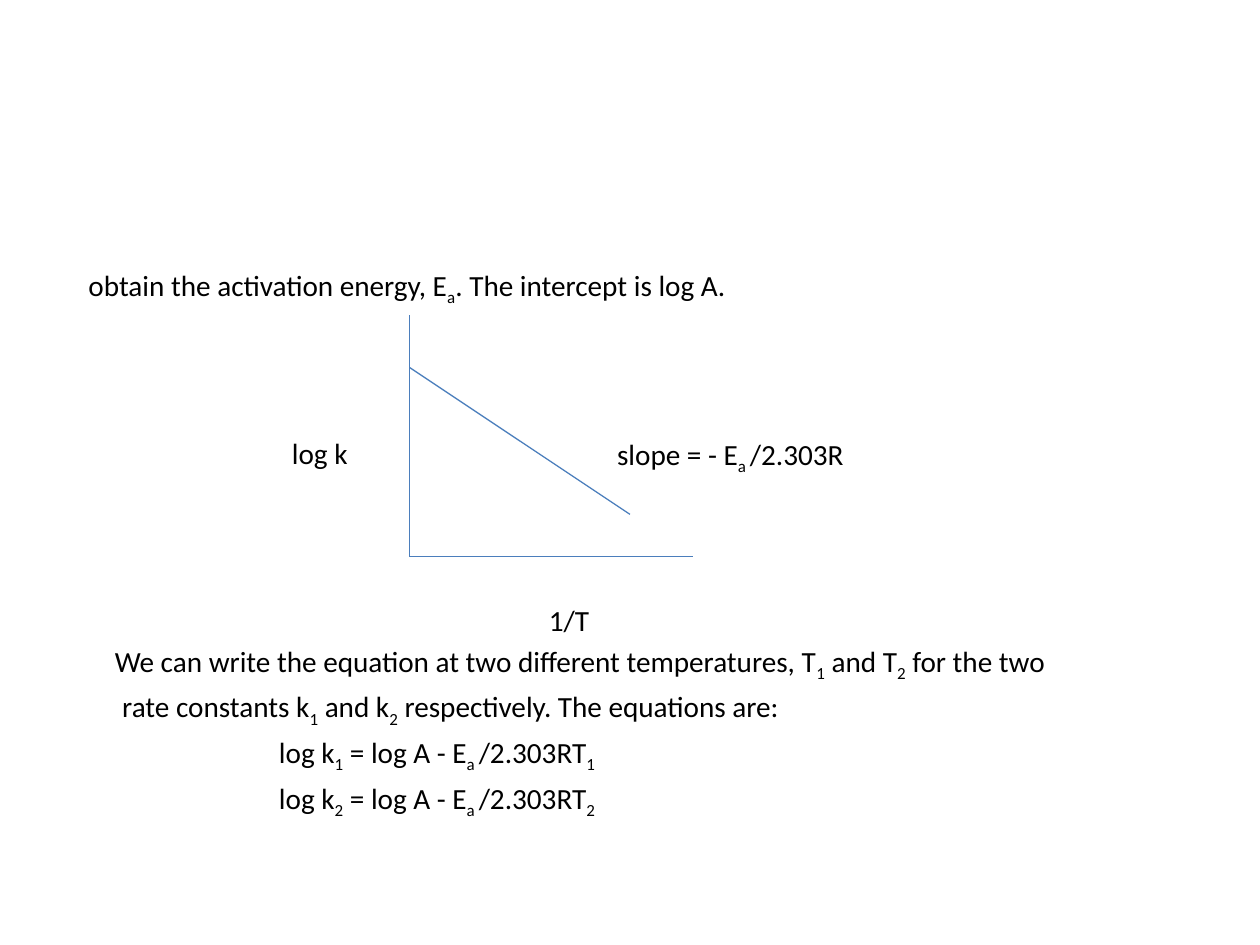
import pptx
import pptx.dml.color
import pptx.enum.shapes
import pptx.enum.text
import pptx.util
from pptx.oxml import parse_xml
from pptx.oxml.ns import nsdecls
from pptx.util import Cm

TEXT_FORMAT = {"name": "Calibri", "size": pptx.util.Pt(16.7)}
LINE_GAP = 3.3

# Left margin (cm), space before (pt), text with |subscripts| between bars
PARAGRAPHS = [
    (0.26, 0, "obtain the activation energy, E|a|. The intercept is log A."),
    (4.36, 73.3, "log k"),
    (9.54, 75.3, "1/T"),
    (0.79, LINE_GAP,
     "We can write the equation at two different temperatures, T|1| and T|2| for the two"),
    (0.94, LINE_GAP, "rate constants k|1| and k|2| respectively. The equations are:"),
    (4.1, LINE_GAP, "log k|1| = log A - E|a |/2.303RT|1|"),
    (4.1, LINE_GAP, "log k|2| = log A - E|a |/2.303RT|2|"),
]
SLOPE_TEXT = "slope = - E|a |/2.303R"

AXIS_X, AXIS_Y = 8.26, 11.22
PLOT_LINES = [
    ((AXIS_X, 9.1), (AXIS_X, 6.35)),
    ((AXIS_X, 8.89), (AXIS_X, AXIS_Y)),
    ((AXIS_X, AXIS_Y), (13.97, AXIS_Y)),
    ((AXIS_X, 7.41), (12.7, 10.37)),
]


def color(hex_value):
    return pptx.dml.color.RGBColor.from_string(hex_value)


def set_attributes(target, values):
    for name, value in values.items():
        setattr(target, name, value)


def add_runs(paragraph, text):
    """Write the text, lowering every part that stands between bars."""
    for index, part in enumerate(text.split("|")):
        if not part:
            continue
        run = paragraph.add_run()
        run.text = part
        set_attributes(run.font, TEXT_FORMAT)
        run.font.color.rgb = color("000000")
        if index % 2:
            run.font._element.set("baseline", "-25000")


def format_paragraph(paragraph, margin, space_before):
    properties = paragraph._p.get_or_add_pPr()
    properties.set("marL", str(Cm(margin)))
    properties.set("indent", "0")
    properties.append(parse_xml(f"<a:buNone {nsdecls('a')}/>"))
    paragraph.space_before = pptx.util.Pt(space_before)


def fill_body(body):
    set_attributes(body, {"left": Cm(1.27), "top": Cm(5.26),
                          "width": Cm(22.86), "height": Cm(11.74)})
    frame = body.text_frame
    set_attributes(frame, {"word_wrap": True,
                           "auto_size": pptx.enum.text.MSO_AUTO_SIZE.NONE})
    for index, (margin, space_before, text) in enumerate(PARAGRAPHS):
        paragraph = frame.add_paragraph() if index else frame.paragraphs[0]
        format_paragraph(paragraph, margin, space_before)
        add_runs(paragraph, text)


def add_label(slide, left, top, width, height, text):
    box = slide.shapes.add_textbox(Cm(left), Cm(top), Cm(width), Cm(height))
    set_attributes(box.text_frame, {
        "word_wrap": True, "margin_left": 0, "margin_right": 0,
        "margin_top": 0, "margin_bottom": 0})
    add_runs(box.text_frame.paragraphs[0], text)


def add_line(slide, start, end):
    line = slide.shapes.add_connector(
        pptx.enum.shapes.MSO_CONNECTOR.STRAIGHT,
        *(Cm(value) for value in start + end))
    line.line.color.rgb = color("4B7EBC")
    line.line.width = pptx.util.Pt(0.75)
    line._element.spPr.append(parse_xml(f"<a:effectLst {nsdecls('a')}/>"))


def main():
    presentation = pptx.Presentation()
    presentation.slide_width, presentation.slide_height = Cm(25.4), Cm(19.05)
    slide = presentation.slides.add_slide(presentation.slide_layouts[1])
    title = slide.shapes.title._element
    title.getparent().remove(title)
    fill_body(slide.placeholders[1])
    for start, end in PLOT_LINES:
        add_line(slide, start, end)
    add_label(slide, 12.44, 8.79, 5.2, 0.9, SLOPE_TEXT)
    presentation.save("out.pptx")


if __name__ == "__main__":
    main()
